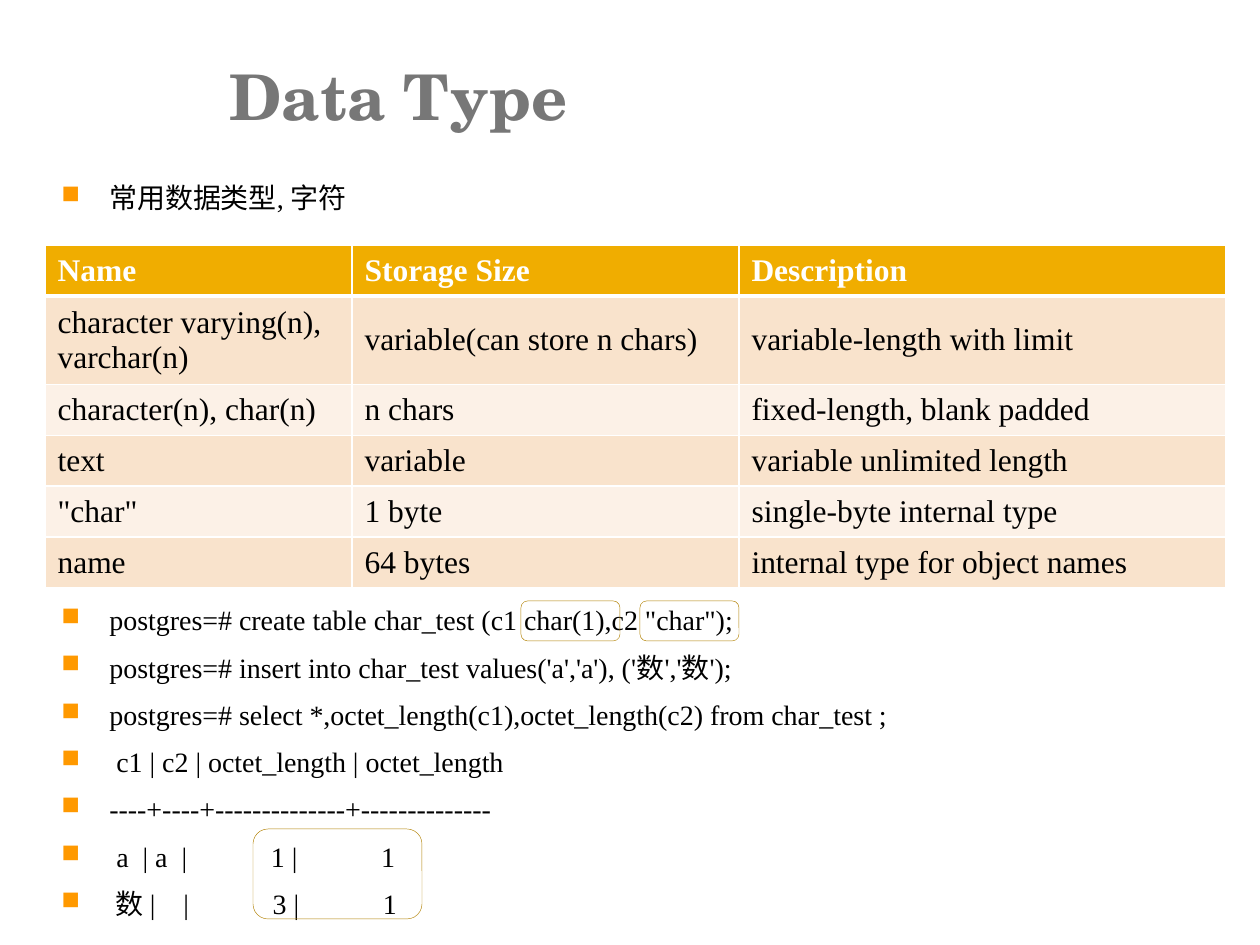
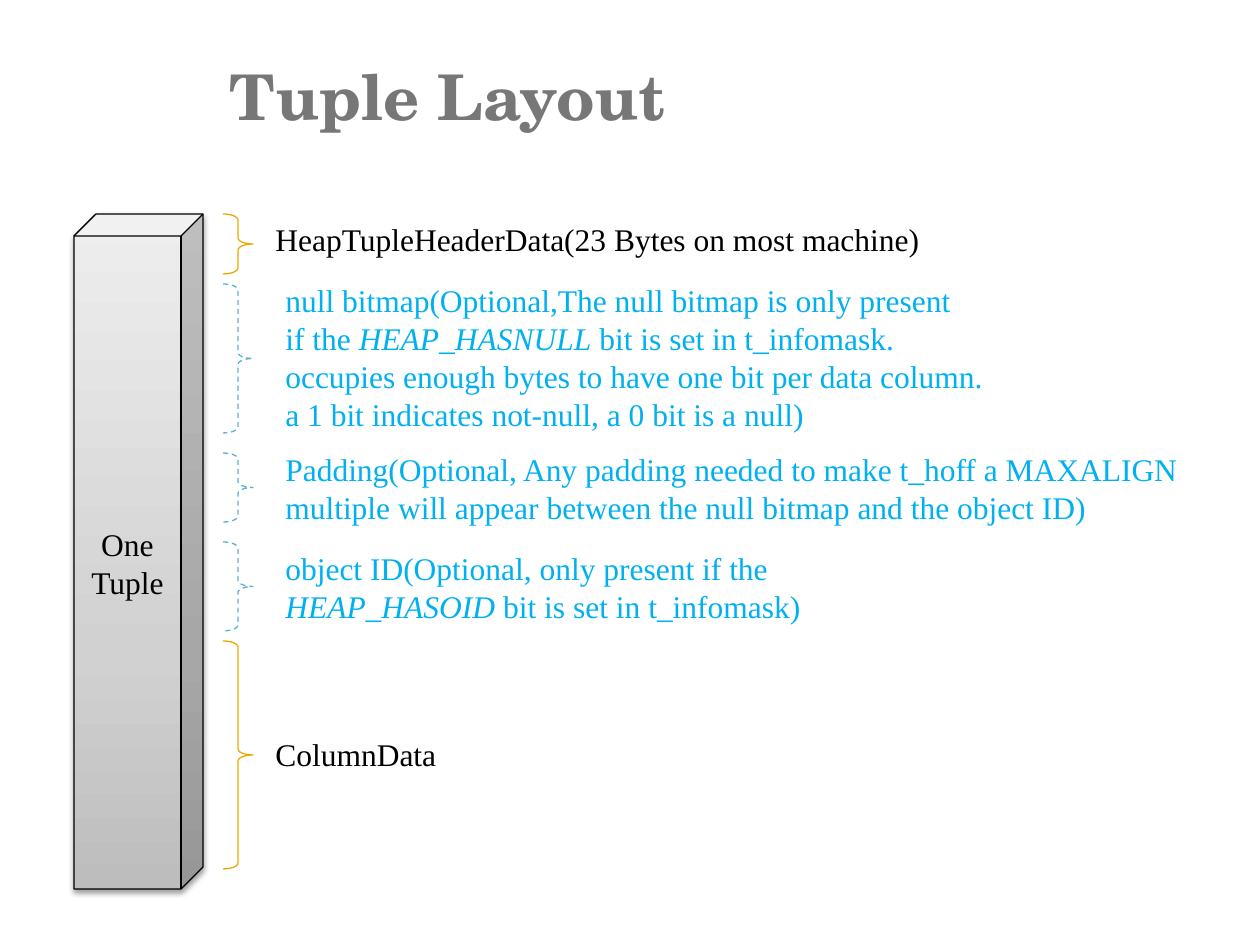
"""Build two slides on character data types and tuple layout."""
from typing import NamedTuple, Optional

from lxml.etree import SubElement
from pptx import Presentation
from pptx.dml.color import RGBColor
from pptx.enum.dml import MSO_LINE
from pptx.enum.shapes import MSO_SHAPE as Preset
from pptx.enum.text import MSO_ANCHOR as Anchor, MSO_AUTO_SIZE as AutoSize, PP_ALIGN as Align
from pptx.oxml import parse_xml
from pptx.oxml.ns import nsdecls, qn
from pptx.util import Emu, Pt

EMU_PER_PX = 914400 / 126
TITLE_FONT = "TeX Gyre Schola"
TEXT_FONT = "Times New Roman"
TITLE_ONLY = 5

BLACK = RGBColor(0x00, 0x00, 0x00)
WHITE = RGBColor(0xFF, 0xFF, 0xFF)
TITLE_GREY = RGBColor(0x77, 0x77, 0x77)
BULLET_ORANGE = RGBColor(0xFF, 0x99, 0x00)
HEADER_GOLD = RGBColor(0xF0, 0xAD, 0x00)
ROW_TINTS = (RGBColor(0xFC, 0xF1, 0xE7), RGBColor(0xF9, 0xE3, 0xCC))
MARK_GOLD = RGBColor(0xB2, 0x80, 0x00)
BRACE_GOLD = RGBColor(0xEB, 0xA9, 0x00)
BRACE_TEAL = RGBColor(0x5B, 0xB3, 0xCA)
OPTIONAL_BLUE = RGBColor(0x00, 0xB0, 0xF0)
TUPLE_SHADES = (
    (0, RGBColor(0xBD, 0xBD, 0xBD)),
    (35, RGBColor(0xD1, 0xD1, 0xD1)),
    (100, RGBColor(0xEE, 0xEE, 0xEE)),
)


class Box(NamedTuple):
    left: int
    top: int
    width: int
    height: int

    def emu(self) -> list[Emu]:
        return [px(length) for length in self]


class TuplePart(NamedTuple):
    brace_top: int
    brace_height: int
    label: Box
    lines: tuple[str, ...]
    optional: bool = False


TITLE_BOX = Box(217, 50, 980, 90)

TOPIC = ("常用数据类型, 字符",)
SESSION = (
    'postgres=# create table char_test (c1 char(1),c2 "char");',
    "postgres=# insert into char_test values('a','a'), ('数','数');",
    "postgres=# select *,octet_length(c1),octet_length(c2) from char_test ;",
    " c1 | c2 | octet_length | octet_length",
    "----+----+--------------+--------------",
    " a  | a  |            1 |            1",
    " 数 |    |            3 |            1",
)
TYPE_ROWS = (
    ("Name", "Storage Size", "Description"),
    ("character varying(n), varchar(n)", "variable(can store n chars)", "variable-length with limit"),
    ("character(n), char(n)", "n chars", "fixed-length, blank padded"),
    ("text", "variable", "variable unlimited length"),
    ('"char"', "1 byte", "single-byte internal type"),
    ("name", "64 bytes", "internal type for object names"),
)
TYPE_COLUMNS = (307, 387, 487)
ROW_HEIGHT, TALL_ROW_HEIGHT = 51, 81
HIGHLIGHTS = (Box(640, 601, 99, 40), Box(521, 601, 99, 40), Box(253, 829, 169, 90))

TUPLE_PARTS = (
    TuplePart(214, 60, Box(263, 214, 699, 50),
              ("HeapTupleHeaderData(23 Bytes on most machine)",)),
    TuplePart(284, 149, Box(273, 275, 731, 165),
              ("null bitmap(Optional,The null bitmap is only present",
               "if the *HEAP_HASNULL* bit is set in t_infomask.",
               "occupies enough bytes to have one bit per data column.",
               "a 1 bit indicates not-null, a 0 bit is a null)"), True),
    TuplePart(453, 69, Box(273, 444, 935, 89),
              ("Padding(Optional, Any padding needed to make t_hoff a MAXALIGN",
               "multiple will appear between the null bitmap and the object ID)"), True),
    TuplePart(542, 89, Box(273, 543, 560, 89),
              ("object ID(Optional, only present if the",
               "*HEAP_HASOID* bit is set in t_infomask)"), True),
    TuplePart(641, 228, Box(263, 729, 699, 50), ("ColumnData",)),
)


def px(length: int) -> Emu:
    return Emu(round(length * EMU_PER_PX))


def set_font(paragraph, size: int, color: RGBColor, name: str = TEXT_FONT, bold: bool = False) -> None:
    font = paragraph.font
    font.name, font.size, font.bold = name, Pt(size), bold
    font.color.rgb = color


def add_titled_slide(prs, heading: str):
    slide = prs.slides.add_slide(prs.slide_layouts[TITLE_ONLY])
    title = slide.shapes.title
    title.left, title.top, title.width, title.height = TITLE_BOX.emu()
    frame = title.text_frame
    frame.text = heading
    frame.auto_size = AutoSize.NONE
    frame.vertical_anchor = Anchor.MIDDLE
    frame.paragraphs[0].alignment = Align.LEFT
    set_font(frame.paragraphs[0], 36, TITLE_GREY, TITLE_FONT, True)
    return slide


def fill_lines(frame, lines: tuple[str, ...]):
    """Write one paragraph per line, with *marked* words in italics."""
    for index, line in enumerate(lines):
        paragraph = frame.add_paragraph() if index else frame.paragraphs[0]
        yield index, paragraph, line


def add_bullets(slide, box: Box, lines: tuple[str, ...]) -> None:
    frame = slide.shapes.add_textbox(*box.emu()).text_frame
    frame.word_wrap = True
    for index, paragraph, line in fill_lines(frame, lines):
        paragraph.text = line
        paragraph.line_spacing = 1.2
        if index:
            paragraph.space_before = Pt(4)
        properties = paragraph._p.get_or_add_pPr()
        properties.set("marL", str(px(48)))
        properties.set("indent", str(-px(48)))
        color = SubElement(properties, qn("a:buClr"))
        SubElement(color, qn("a:srgbClr"), val=str(BULLET_ORANGE))
        SubElement(properties, qn("a:buSzPct"), val="90000")
        SubElement(properties, qn("a:buChar"), char="■")
        set_font(paragraph, 16, BLACK)


def set_borders(cell, top: int, bottom: int) -> None:
    properties = cell._tc.get_or_add_tcPr()
    edges = {"lnL": 1, "lnR": 1, "lnT": top, "lnB": bottom}
    for position, (edge, points) in enumerate(edges.items()):
        properties.insert(position, parse_xml(
            f'<a:{edge} {nsdecls("a")} w="{Pt(points)}"><a:solidFill>'
            f'<a:srgbClr val="{WHITE}"/></a:solidFill></a:{edge}>'))


def add_type_table(slide, left: int, top: int) -> None:
    heights = [TALL_ROW_HEIGHT if index == 1 else ROW_HEIGHT for index in range(len(TYPE_ROWS))]
    box = Box(left, top, sum(TYPE_COLUMNS), sum(heights))
    table = slide.shapes.add_table(len(TYPE_ROWS), len(TYPE_COLUMNS), *box.emu()).table
    for column, width in zip(table.columns, TYPE_COLUMNS):
        column.width = px(width)
    for index, (row, height, values) in enumerate(zip(table.rows, heights, TYPE_ROWS)):
        row.height = px(height)
        is_header = index == 0
        for cell, value in zip(row.cells, values):
            cell.text = value
            cell.vertical_anchor = Anchor.MIDDLE
            cell.fill.solid()
            cell.fill.fore_color.rgb = HEADER_GOLD if is_header else ROW_TINTS[index % 2]
            set_borders(cell, 3 if index == 1 else 1, 3 if is_header else 1)
            set_font(cell.text_frame.paragraphs[0], 18, WHITE if is_header else BLACK, bold=is_header)


def add_outline(slide, preset: Preset, box: Box, color: RGBColor, points: float):
    shape = slide.shapes.add_shape(preset, *box.emu())
    shape.shadow.inherit = False
    shape.fill.background()
    shape.line.color.rgb = color
    shape.line.width = Pt(points)
    return shape


def add_text_lines(frame, lines: tuple[str, ...], color: RGBColor, alignment: Align) -> None:
    frame.word_wrap = True
    for _, paragraph, line in fill_lines(frame, lines):
        paragraph.alignment = alignment
        paragraph.line_spacing = Pt(21.7)
        set_font(paragraph, 18, color)
        for position, words in enumerate(line.split("*")):
            if words:
                run = paragraph.add_run()
                run.text = words
                if position % 2:
                    run.font.italic = True


def add_tuple_block(slide, box: Box) -> None:
    block = add_outline(slide, Preset.CUBE, box, BLACK, 0.75)
    block.adjustments[0] = 0.17
    properties = block._element.spPr
    stops = "".join(f'<a:gs pos="{percent * 1000}"><a:srgbClr val="{color}"/></a:gs>'
                    for percent, color in TUPLE_SHADES)
    properties.replace(properties.find(qn("a:noFill")), parse_xml(
        f'<a:gradFill {nsdecls("a")} rotWithShape="1"><a:gsLst>{stops}</a:gsLst>'
        '<a:lin ang="16200000" scaled="0"/></a:gradFill>'))
    properties.find(qn("a:effectLst")).append(parse_xml(
        f'<a:outerShdw {nsdecls("a")} blurRad="{Pt(3.1)}" dist="{Pt(1.6)}" dir="5400000" '
        f'rotWithShape="0"><a:srgbClr val="{BLACK}"><a:alpha val="38000"/></a:srgbClr></a:outerShdw>'))
    block.text_frame.vertical_anchor = Anchor.MIDDLE
    add_text_lines(block.text_frame, ("One", "Tuple"), BLACK, Align.CENTER)


def add_tuple_part(slide, part: TuplePart, brace_left: int) -> Optional[MSO_LINE]:
    box = Box(brace_left, part.brace_top, 30, part.brace_height)
    brace = add_outline(slide, Preset.RIGHT_BRACE, box, BRACE_TEAL if part.optional else BRACE_GOLD, 0.75)
    brace.adjustments[0] = 0.2
    if part.optional:
        brace.line.dash_style = MSO_LINE.DASH
    label = slide.shapes.add_textbox(*part.label.emu())
    add_text_lines(label.text_frame, part.lines, OPTIONAL_BLUE if part.optional else BLACK, Align.LEFT)


def build_data_type(prs) -> None:
    slide = add_titled_slide(prs, "Data Type")
    add_bullets(slide, Box(49, 168, 1148, 60), TOPIC)
    add_bullets(slide, Box(49, 590, 1148, 335), SESSION)
    add_type_table(slide, 45, 245)
    for box in HIGHLIGHTS:
        add_outline(slide, Preset.ROUNDED_RECTANGLE, box, MARK_GOLD, 0.25)


def build_tuple_layout(prs) -> None:
    slide = add_titled_slide(prs, "Tuple Layout")
    add_tuple_block(slide, Box(74, 214, 129, 675))
    for part in TUPLE_PARTS:
        add_tuple_part(slide, part, 223)


def main() -> None:
    prs = Presentation()
    prs.slide_width, prs.slide_height = px(1260), px(945)
    build_data_type(prs)
    build_tuple_layout(prs)
    prs.save("out.pptx")


if __name__ == "__main__":
    main()
